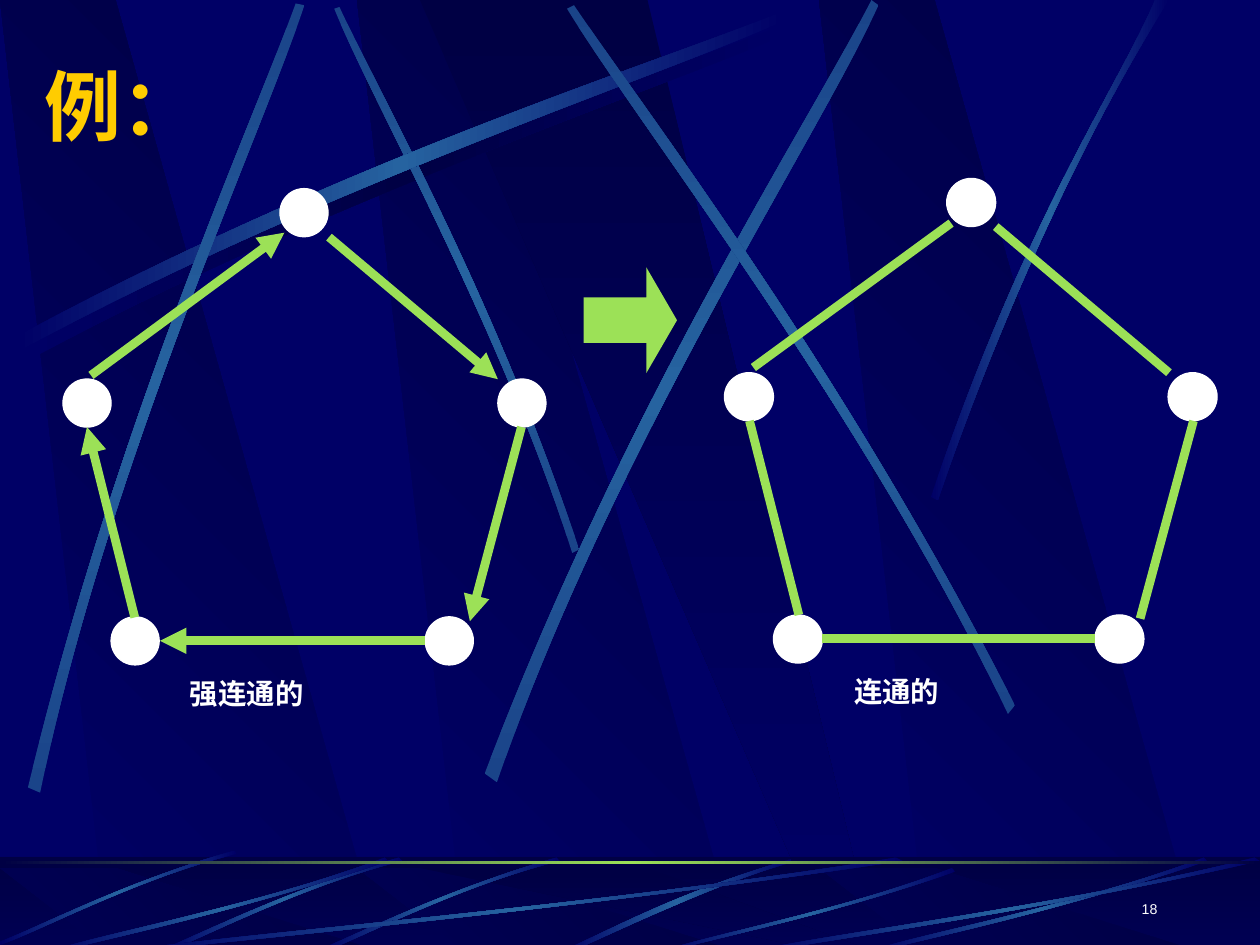
from dataclasses import dataclass

from lxml import etree
from pptx import Presentation
from pptx.dml.color import RGBColor
from pptx.enum.shapes import MSO_CONNECTOR, MSO_SHAPE
from pptx.enum.text import MSO_ANCHOR, PP_ALIGN
from pptx.oxml.ns import qn
from pptx.util import Pt

STRAIGHT = MSO_CONNECTOR.STRAIGHT
RECTANGLE, OVAL, RIGHT_ARROW = MSO_SHAPE.RECTANGLE, MSO_SHAPE.OVAL, MSO_SHAPE.RIGHT_ARROW
TOP, MIDDLE, BOTTOM = MSO_ANCHOR.TOP, MSO_ANCHOR.MIDDLE, MSO_ANCHOR.BOTTOM
LEFT, RIGHT = PP_ALIGN.LEFT, PP_ALIGN.RIGHT


@dataclass(frozen=True)
class Theme:
    navy: str = "000066"
    midnight: str = "000044"
    ray: str = "2663A0"
    ray_end: str = "1A4489"
    green: str = "9CE157"
    gold: str = "FFCC00"
    white: str = "FFFFFF"
    title_font: str = "Montserrat"
    label_font: str = "Noto Sans CJK SC"
    number_font: str = "Arial"
    title_size: int = 44
    label_size: int = 28
    number_size: int = 14
    edge_width: int = 5


THEME = Theme()
GLOW = (THEME.navy, THEME.ray, THEME.navy)
STEEP_GLOW = (THEME.ray_end, THEME.ray, THEME.ray_end)
FOOTER = (0, 489.6, 720, 54)
RAISED = "30000"

# Each ray: four Bezier points along one edge, four back along the other.
LONG_RAY = [(10, 192), (200, 90), (373, 37), (446, 7),
            (448.5, 11.5), (376, 44), (178.5, 109), (12, 199.5)]
STEEP_RAYS = [
    [(16.5, 450), (67, 240.5), (142, 75.5), (169, 1.5),
     (173.5, 3), (149, 78.5), (62, 265), (23, 453)],
    [(277, 442), (358.5, 230.5), (459.5, 73.5), (498, 0.5),
     (502.5, 3), (467.5, 78), (350, 255.5), (283.5, 447)],
    [(580.5, 403), (482.5, 211), (371.5, 68.5), (327.5, 3),
     (323.5, 5), (365, 72.5), (493, 234), (575.5, 408)],
]
SHORT_RAY = [(331, 314), (281.5, 168.5), (217.5, 55.5), (193.5, 3.5),
             (191, 5), (212.5, 57), (286.5, 186), (327, 316)]
RIGHT_RAY = [(531.5, 283.5), (586, 124.5), (639.5, 47.5), (660, 0),
             (667.5, 0), (602, 104.5), (553.5, 232), (535.5, 286)]
FOOTER_RAY = [(451.5, 491), (386.5, 510.5), (343.5, 534), (322.5, 543),
              (326, 543.5), (353, 531.5), (411, 504), (452, 493)]
SPARK = [(318, 489.5), (255.5, 507.5), (206.5, 533), (184.5, 542),
         (185, 543.5), (207.5, 535), (263, 506), (319.5, 492)]
SPARK_SHIFTS = [(0, 0), (-90, 0), (-184.5, -3.5)]
# Unit sweep, stretched to each left, top, width, height.
SWEEP = [(1, 0.04), (0.57, 0.57), (0.17, 0.85), (0.01, 1),
         (0, 0.99), (0.16, 0.81), (0.62, 0.51), (0.99, 0)]
SWEEP_BOXES = [(72, 489.6, 444, 54), (30, 489.6, 192, 54), (379.5, 496, 166.5, 47.5),
               (498, 489.6, 192, 54), (432, 489.6, 288, 54)]

DIRECTED = {
    "node_size": (27.5, 27.5),
    "nodes": [(160, 107.8), (36, 216.6), (284.5, 216.6), (63.5, 352.5), (243, 352.5)],
    "edges": [((77, 352.8), (49.7, 244)), ((52, 214.5), (162.5, 133)),
              ((188, 135.5), (284.5, 216.7)), ((298, 244), (268.5, 355)),
              ((243, 366.2), (91.5, 366.2))],
}
UNDIRECTED = {
    "node_size": (28, 27.5),
    "nodes": [(541, 102), (414, 213), (667.5, 213), (442, 351.4), (625.7, 351.4)],
    "edges": [((456.5, 351.4), (428.3, 240.5)), ((430.5, 210), (543.5, 127.5)),
              ((569, 129.5), (668, 213)), ((682, 240.5), (651.5, 353.5)),
              ((625.7, 365), (470, 365))],
}


def rgb(color):
    return RGBColor.from_string(color)


def paint_solid(shape, color, line_width=0):
    shape.shadow.inherit = False
    shape.fill.solid()
    shape.fill.fore_color.rgb = rgb(color)
    if line_width:
        shape.line.color.rgb = rgb(color)
        shape.line.width = Pt(line_width)
        etree.SubElement(shape.element.spPr.find(qn("a:ln")), qn("a:miter"), lim="800000")
    else:
        shape.line.fill.background()


def paint_gradient(shape, colors, angle):
    """Spread the colours evenly; the angle is in degrees clockwise."""
    shape.shadow.inherit = False
    shape.line.fill.background()
    shape.fill.gradient()
    gradient = shape.element.spPr.find(qn("a:gradFill"))
    stops = gradient.find(qn("a:gsLst"))
    for stop in list(stops):
        stops.remove(stop)
    for index, color in enumerate(colors):
        position = 100000 * index // (len(colors) - 1)
        stop = etree.SubElement(stops, qn("a:gs"), pos=str(position))
        etree.SubElement(stop, qn("a:srgbClr"), val=color)
    gradient.find(qn("a:lin")).set("ang", str(angle * 60000))


def add_preset(slide, kind, box):
    return slide.shapes.add_shape(kind, *map(Pt, box))


def add_outline(slide, points, colors, angle):
    builder = slide.shapes.build_freeform(*points[0], scale=Pt(1))
    builder.add_line_segments(points[1:], close=True)
    outline = builder.convert_to_shape()
    paint_gradient(outline, colors, angle)
    return outline


def bend(outline):
    """Turn the two long edges of an eight-point outline into Bezier curves."""
    segments = list(outline.element.spPr.iter(qn("a:lnTo")))
    for edge in (segments[:3], segments[4:7]):
        curve = etree.Element(qn("a:cubicBezTo"))
        edge[0].addprevious(curve)
        for segment in edge:
            curve.append(segment[0])
            segment.getparent().remove(segment)


def add_ray(slide, controls, colors=GLOW, angle=0, shift=(0, 0)):
    moved = [(x + shift[0], y + shift[1]) for x, y in controls]
    bend(add_outline(slide, moved, colors, angle))


def add_beams(slide, top, bottom):
    for x in (204, 0, 468):
        add_outline(slide, [(x + 62, bottom), (x + 217.5, bottom), (x + 65.5, top), (x, top)],
                    (THEME.navy, THEME.midnight), 315)
    add_outline(slide, [(240, top), (474, bottom), (500, bottom), (369.5, top)],
                (THEME.midnight, THEME.navy), 90)


def add_backdrop(slide):
    add_beams(slide, 0.5, 541)
    add_ray(slide, LONG_RAY, (THEME.navy, THEME.midnight, THEME.navy), shift=(4.5, 6))
    add_ray(slide, SHORT_RAY, STEEP_GLOW, 90)
    add_ray(slide, LONG_RAY)
    for ray in STEEP_RAYS:
        add_ray(slide, ray, STEEP_GLOW, 90)
    add_ray(slide, RIGHT_RAY)


def add_footer(slide):
    paint_gradient(add_preset(slide, RECTANGLE, FOOTER), (THEME.midnight, THEME.navy), 90)
    add_beams(slide, 495.5, 543.5)
    veil = add_preset(slide, RECTANGLE, FOOTER)
    paint_solid(veil, THEME.midnight)
    veil_color = veil.element.spPr.find(qn("a:solidFill"))[0]
    etree.SubElement(veil_color, qn("a:alpha"), val="50000")
    add_ray(slide, FOOTER_RAY)
    for shift in SPARK_SHIFTS:
        add_ray(slide, SPARK, shift=shift)
    for left, top, width, height in SWEEP_BOXES:
        add_ray(slide, [(left + x * width, top + y * height) for x, y in SWEEP])
    paint_gradient(add_preset(slide, RECTANGLE, (0, 492.2, 720, 1.8)),
                   (THEME.midnight, THEME.green, THEME.midnight), 0)


def move_to_master(slide, master):
    """Hand every shape but the placeholders over to the master."""
    for shape in list(slide.shapes):
        if not shape.is_placeholder:
            master.shapes.element.append(shape.element)


def write(frame, text, font, size, color, bold=True, align=LEFT, anchor=TOP, wrap=True):
    for name, value in {"word_wrap": wrap, "vertical_anchor": anchor, "text": text}.items():
        setattr(frame, name, value)
    paragraph = frame.paragraphs[0]
    paragraph.alignment = align
    run = paragraph.runs[0]
    run.font.color.rgb = rgb(color)
    for name, value in {"name": font, "size": Pt(size), "bold": bold}.items():
        setattr(run.font, name, value)
    properties = run._r.get_or_add_rPr()
    etree.SubElement(properties, qn("a:ea"), typeface=THEME.label_font)
    return properties


def add_label(slide, box, text, **formats):
    """Add a text box with raised text, drawn smaller than its nominal size."""
    frame = slide.shapes.add_textbox(*map(Pt, box)).text_frame
    properties = write(frame, text, **{"font": THEME.label_font, "size": THEME.label_size,
                                       "color": THEME.white, **formats})
    properties.set("baseline", RAISED)


def add_edge(slide, start, end, directed):
    edge = slide.shapes.add_connector(STRAIGHT, *map(Pt, start + end))
    edge.line.color.rgb = rgb(THEME.green)
    edge.line.width = Pt(THEME.edge_width)
    properties = edge.element.spPr
    if directed:
        etree.SubElement(properties.find(qn("a:ln")), qn("a:tailEnd"), type="triangle")
    etree.SubElement(properties, qn("a:effectLst"))


def add_graph(slide, graph, directed):
    for corner in graph["nodes"]:
        paint_solid(add_preset(slide, OVAL, corner + graph["node_size"]), THEME.white, 0.75)
    for start, end in graph["edges"]:
        add_edge(slide, start, end, directed)


def main():
    deck = Presentation()
    deck.slide_width, deck.slide_height = Pt(720), Pt(540)
    master = deck.slide_master
    master.background.fill.solid()
    master.background.fill.fore_color.rgb = rgb(THEME.navy)
    slide = deck.slides.add_slide(deck.slide_layouts[5])
    add_backdrop(slide)
    add_footer(slide)
    move_to_master(slide, master)

    title = slide.shapes.title
    for name, value in {"left": 18, "top": 30, "width": 612, "height": 60}.items():
        setattr(title, name, Pt(value))
    write(title.text_frame, "例：", THEME.title_font, THEME.title_size, THEME.gold, anchor=MIDDLE)

    add_graph(slide, DIRECTED, directed=True)
    add_label(slide, (101.5, 379.5, 127, 41), "强连通的", wrap=False)
    add_graph(slide, UNDIRECTED, directed=False)
    add_label(slide, (481, 378.5, 108, 41), "连通的")
    arrow = add_preset(slide, RIGHT_ARROW, (336, 162, 48, 42))
    arrow.adjustments[1] = 0.29
    paint_solid(arrow, THEME.green, THEME.edge_width)
    add_label(slide, (518.5, 497, 150, 36), "18", font=THEME.number_font,
              size=THEME.number_size, bold=False, align=RIGHT, anchor=BOTTOM)
    deck.save("out.pptx")


if __name__ == "__main__":
    main()
